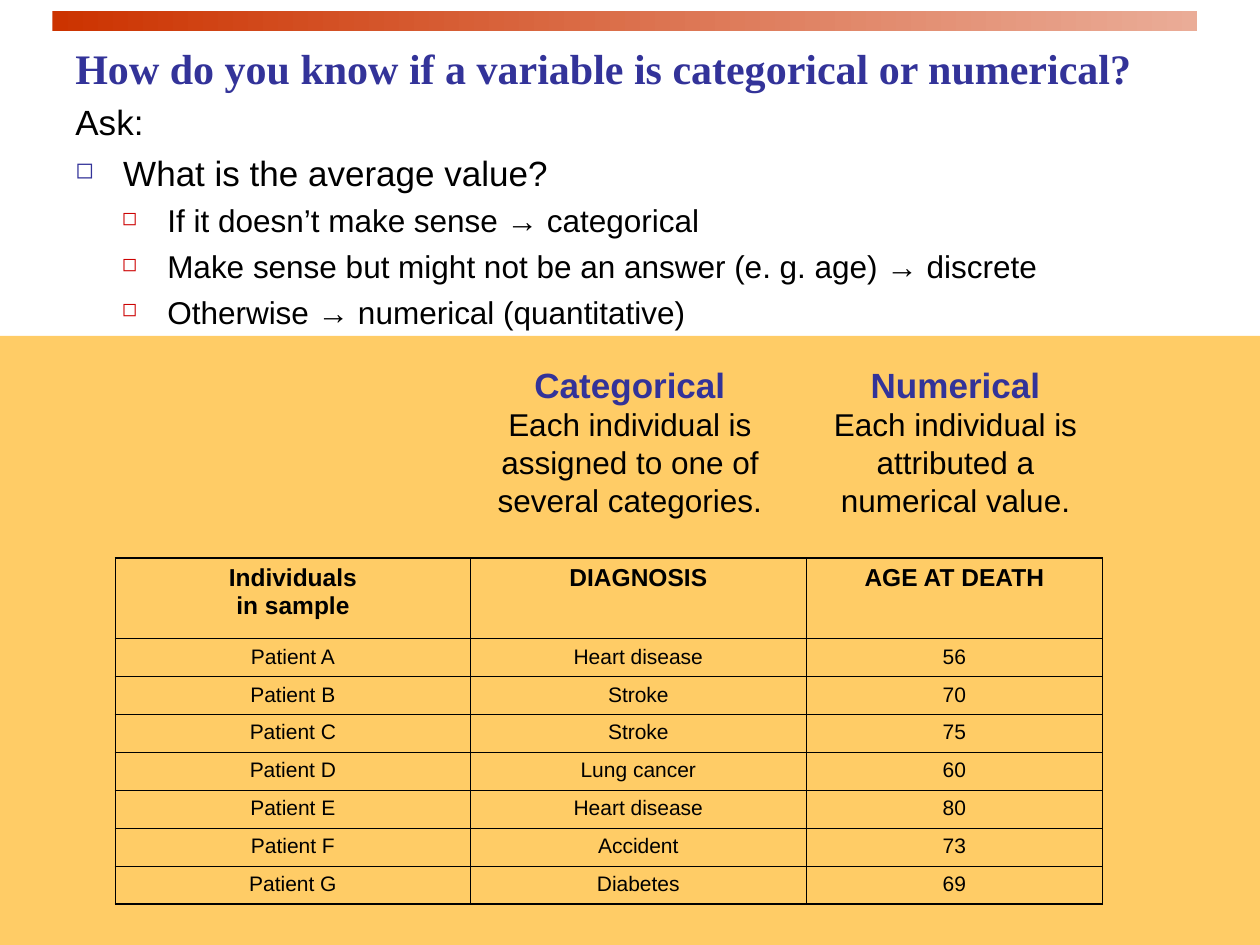
import collections
import pptx
import pptx.dml.color
import pptx.enum.shapes
import pptx.enum.text
import pptx.oxml
import pptx.oxml.ns
import pptx.util

Box = collections.namedtuple("Box", "left top width height")
ALIGN = pptx.enum.text.PP_ALIGN


class Theme:
    navy, black, red = "333399", "000000", "CC0000"
    sand, bar = "FFCC66", ("CC3300", "EAAC97")
    serif, sans = "Times New Roman", "Arial"
    title, large, body, head, cell = 24, 20, 18, 14, 12
    thin, thick = 0.45, 1.08


def grid(count):
    """Length of grid units: the slide is 120 columns by 90 rows, 12 to the inch."""
    return pptx.util.Inches(count / 12)


def place(box):
    return [grid(side) for side in box]


def rgb(color):
    return pptx.dml.color.RGBColor.from_string(color)


def style(font, size, color=Theme.black, bold=False, name=Theme.sans):
    font.size, font.bold, font.name = pptx.util.Pt(size), bold, name
    font.color.rgb = rgb(color)


def rect(slide, box):
    shape = slide.shapes.add_shape(
        pptx.enum.shapes.MSO_SHAPE.RECTANGLE, *place(box))
    shape.shadow.inherit = False
    shape.line.fill.background()
    return shape


def frame(slide, box):
    text = slide.shapes.add_textbox(*place(box)).text_frame
    text.word_wrap = True
    return text


def bullet(para, color, share):
    tags = (f'buClr><a:srgbClr val="{color}"/></a:buClr',
            f'buSzPct val="{share * 1000}"/',
            'buChar char="◻"/')
    for tag in tags:
        para._p.get_or_add_pPr().append(pptx.oxml.parse_xml(
            f"<a:{tag}>".replace("<a:bu", f'<a:bu', 1).replace(
                ">", f' {pptx.oxml.ns.nsdecls("a")}>', 1)
            if not tag.endswith("/") else
            f'<a:{tag[:-1]} {pptx.oxml.ns.nsdecls("a")}/>'))


def indent(para, left, hang):
    props = para._p.get_or_add_pPr()
    props.set("marL", str(pptx.util.Inches(left)))
    props.set("indent", str(-pptx.util.Inches(hang)))


def border(cell, widths):
    """Draw the left, right, top and bottom edges, in that order."""
    props = cell._tc.get_or_add_tcPr()
    for spot, (side, width) in enumerate(zip("LRTB", widths)):
        props.insert(spot, pptx.oxml.parse_xml(
            f'<a:ln{side} {pptx.oxml.ns.nsdecls("a")} w="{pptx.util.Pt(width)}">'
            f'<a:solidFill><a:srgbClr val="{Theme.black}"/></a:solidFill>'
            f'</a:ln{side}>'))


def draw_bar(slide, box):
    fill = rect(slide, box).fill
    fill.gradient()
    fill.gradient_angle = 0
    for stop, color in zip(fill.gradient_stops, Theme.bar):
        stop.color.rgb = rgb(color)


def draw_panel(slide, box):
    fill = rect(slide, box).fill
    fill.solid()
    fill.fore_color.rgb = rgb(Theme.sand)


def draw_title(slide, box, words):
    para = frame(slide, box).paragraphs[0]
    para.text, para.line_spacing = words, 1.1
    style(para.font, Theme.title, Theme.navy, True, Theme.serif)


def draw_list(slide, box, lead, ask, rules):
    text = frame(slide, box)
    for spot, words in enumerate([lead, ask, *rules]):
        para = text.paragraphs[0] if spot == 0 else text.add_paragraph()
        para.text = words
        deep = spot > 1
        para.level = int(deep)
        para.space_before = pptx.util.Pt(4.5 if deep else 5)
        indent(para, *((0.73, 0.36) if deep else (0.38, 0.38)))
        if spot:
            bullet(para, *((Theme.red, 60) if deep else (Theme.navy, 65)))
        style(para.font, Theme.body if deep else Theme.large)


def draw_note(slide, box, head, words):
    text = frame(slide, box)
    text.auto_size = pptx.enum.text.MSO_AUTO_SIZE.SHAPE_TO_FIT_TEXT
    para = text.paragraphs[0]
    para.alignment, para.space_before = ALIGN.CENTER, pptx.util.Pt(11.2)
    run = para.add_run()
    run.text = head
    style(run.font, Theme.large, Theme.navy, True)
    para.add_line_break()
    run = para.add_run()
    run.text = words
    style(run.font, Theme.body)


def draw_table(slide, box, rows, cols, top):
    last, edge = len(rows) - 1, len(cols) - 1
    table = slide.shapes.add_table(len(rows), len(cols), *place(box)).table
    table.first_row = table.horz_banding = False
    for col, width in zip(table.columns, cols):
        col.width = grid(width)
    for r, row in enumerate(rows):
        table.rows[r].height = grid(top if r == 0 else (box.height - top) / last)
        for c, words in enumerate(row):
            cell = table.cell(r, c)
            cell.fill.background()
            outer = (c == 0, c == edge, r == 0, r == last)
            border(cell, [Theme.thick if out else Theme.thin for out in outer])
            para = cell.text_frame.paragraphs[0]
            para.text, para.alignment = words, ALIGN.CENTER
            para.space_before = pptx.util.Pt(3 if r else 3.5)
            style(para.font, Theme.cell if r else Theme.head, bold=r == 0)


def main():
    deck = pptx.Presentation()
    deck.slide_width, deck.slide_height = grid(120), grid(90)
    slide = deck.slides.add_slide(deck.slide_layouts[6])

    # Backdrop
    draw_bar(slide, Box(5, 1, 109, 2))
    draw_panel(slide, Box(0, 32, 120, 58))

    # Question and rules
    draw_title(slide, Box(6, 3, 108, 10),
               "How do you know if a variable is categorical or numerical?")
    draw_list(slide, Box(6, 9, 107, 24), "Ask:", "What is the average value?", [
        "If it doesn’t make sense → categorical",
        "Make sense but might not be an answer (e. g. age) → discrete",
        "Otherwise → numerical (quantitative)"])

    # Patient data
    cases = [("Heart disease", 56), ("Stroke", 70), ("Stroke", 75),
             ("Lung cancer", 60), ("Heart disease", 80), ("Accident", 73),
             ("Diabetes", 69)]
    rows = [("Individuals\vin sample", "DIAGNOSIS", "AGE AT DEATH")]
    rows += [(f"Patient {mark}", cause, str(age))
             for mark, (cause, age) in zip("ABCDEFG", cases)]
    draw_table(slide, Box(11, 53.16, 94, 32.88), rows, (33.8, 32, 28.2), 7.68)

    # Notes above the columns
    draw_note(slide, Box(76, 34, 30, 16), "Numerical",
              "Each individual is attributed a numerical value.")
    draw_note(slide, Box(45, 34, 30, 16), "Categorical",
              "Each individual is assigned to one of several categories.")

    deck.save("out.pptx")


if __name__ == "__main__":
    main()
